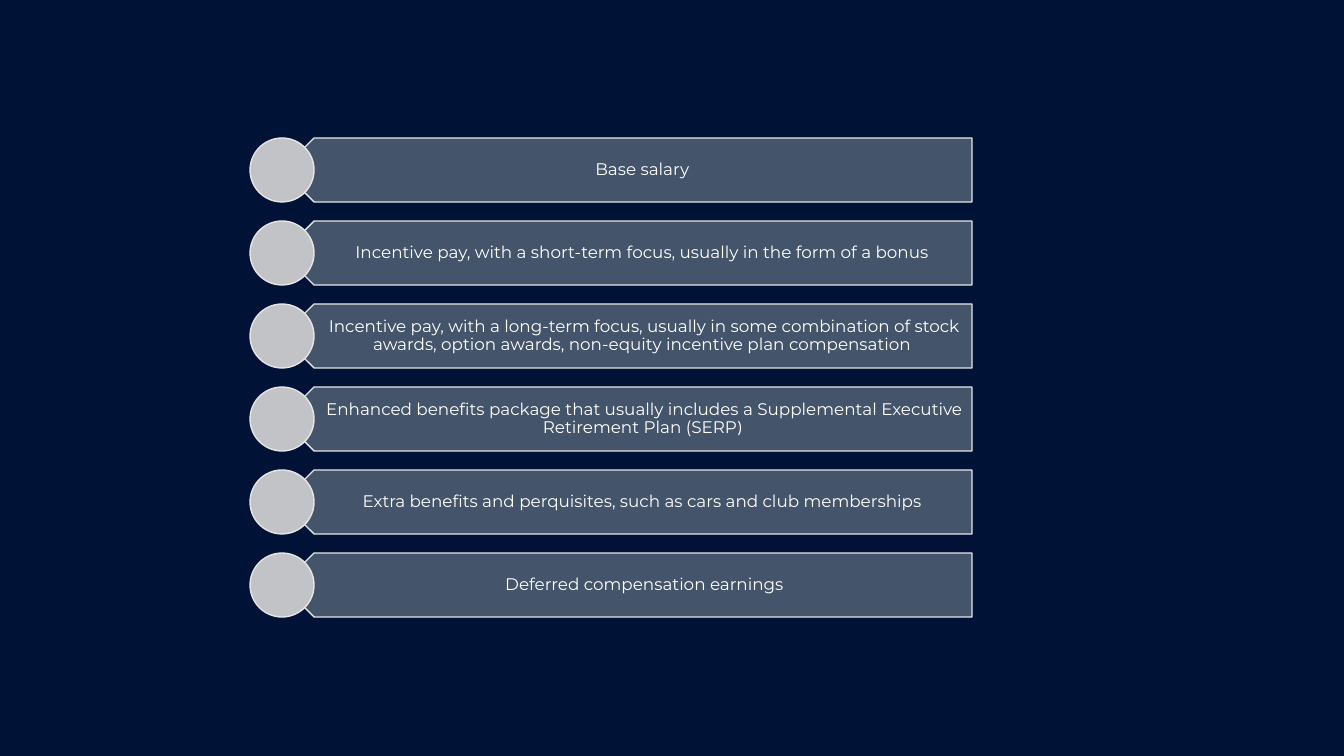
from pptx import Presentation
from pptx.dml.color import RGBColor
from pptx.enum.shapes import MSO_SHAPE as Shape
from pptx.enum.text import MSO_ANCHOR as Anchor, PP_ALIGN as Align
from pptx.util import Pt

# Each pay component is a list of (text, font role) runs.
COMPONENTS = [
    [("Base salary ", "body")],
    [("Incentive pay, with a short-term focus, usually in the form of a bonus ", "body")],
    [("Incentive pay, with a long-term focus, usually in some combination of stock "
      "awards, option awards, non-equity incentive plan compensation ", "body")],
    [("Enhanced benefits package that usually includes a Supplemental "
      "Executive Retirement Plan (SERP", "body"), (") ", "alt")],
    [("Extra benefits and perquisites, such as cars and club memberships ", "body")],
    [("Deferred compensation earnings", "body")],
]

THEME = {
    "background": RGBColor.from_string("001236"),
    "bar": RGBColor.from_string("44546A"),
    "circle": RGBColor.from_string("C1C3C7"),
    "outline": RGBColor.from_string("E7E6E6"),
    "text": RGBColor.from_string("FFFFFF"),
    "body": "Montserrat",
    "alt": "Calibri",
    "size": Pt(12),
    "line": Pt(1),
}

SLIDE_W, SLIDE_H = 1344, 756
LEFT, TOP, RIGHT = 250, 138, 972
ROW_H, PITCH = 64, 83
BAR_LEFT = LEFT + ROW_H // 2
TEXT_LEFT = BAR_LEFT + ROW_H // 4
INSETS = {"left": 28, "top": 5, "right": 9, "bottom": 5}


def px(n):
    return round(n * 914400 / 100.8)


def add_outlined(shapes, kind, left, top, width, fill):
    sp = shapes.add_shape(kind, px(left), px(top), px(width), px(ROW_H))
    sp.shadow.inherit = False
    sp.fill.solid()
    sp.fill.fore_color.rgb = THEME[fill]
    sp.line.color.rgb = THEME["outline"]
    sp.line.width = THEME["line"]
    return sp


def add_label(shapes, runs, top):
    box = shapes.add_textbox(px(TEXT_LEFT), px(top), px(RIGHT - TEXT_LEFT), px(ROW_H))
    tf = box.text_frame
    tf.word_wrap = True
    tf.vertical_anchor = Anchor.MIDDLE
    for side, inset in INSETS.items():
        setattr(tf, f"margin_{side}", px(inset))
    p = tf.paragraphs[0]
    p.alignment = Align.CENTER
    p.line_spacing = 0.9
    for text, role in runs:
        r = p.add_run()
        r.text = text
        r.font.name = THEME[role]
        r.font.size = THEME["size"]
        r.font.color.rgb = THEME["text"]


def main():
    prs = Presentation()
    prs.slide_width, prs.slide_height = px(SLIDE_W), px(SLIDE_H)
    slide = prs.slides.add_slide(prs.slide_layouts[6])
    slide.background.fill.solid()
    slide.background.fill.fore_color.rgb = THEME["background"]

    shapes = slide.shapes.add_group_shape().shapes
    for i, runs in enumerate(COMPONENTS):
        top = TOP + i * PITCH
        bar = add_outlined(shapes, Shape.PENTAGON, BAR_LEFT, top, RIGHT - BAR_LEFT, "bar")
        bar.rotation = 180
        add_label(shapes, runs, top)
        add_outlined(shapes, Shape.OVAL, LEFT, top, ROW_H, "circle")

    prs.save("out.pptx")


if __name__ == "__main__":
    main()
